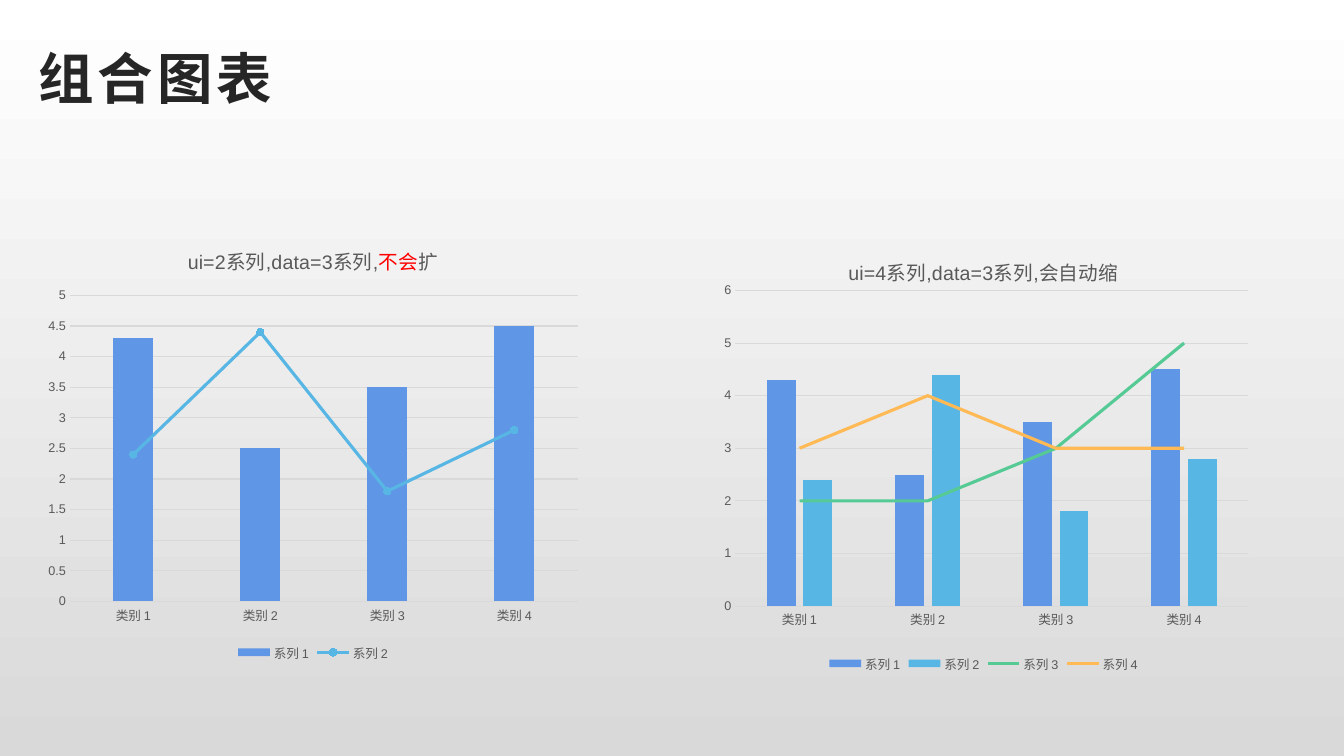
from dataclasses import dataclass
from typing import Optional

from lxml.etree import SubElement
from pptx import Presentation
from pptx.chart.chart import Chart
from pptx.chart.data import CategoryChartData
from pptx.dml.color import RGBColor
from pptx.enum.chart import XL_CHART_TYPE, XL_LEGEND_POSITION, XL_MARKER_STYLE, XL_TICK_MARK
from pptx.enum.text import MSO_ANCHOR
from pptx.oxml import parse_xml
from pptx.oxml.ns import nsdecls, qn
from pptx.slide import Slide
from pptx.text.text import Font
from pptx.util import Inches, Pt

FONT = "Arial"
GREY = "595959"
RULE = "D9D9D9"
CATEGORIES = ["类别 1", "类别 2", "类别 3", "类别 4"]
COLORS = ["6096E6", "58B6E5", "56CA95", "FFBA55"]


@dataclass
class Run:
    text: str
    color: str = GREY


@dataclass
class Combo:
    left: float
    top: float
    title: list[Run]
    values: list[list[float]]
    columns: int
    grouping: str
    marker: XL_MARKER_STYLE
    maximum: float
    unit: float
    plot: Optional[tuple[float, float, float, float]] = None


COMBOS = [
    Combo(0.37, 2.25, [Run("ui=2系列,data=3系列,"), Run("不会", "FF0000"), Run("扩")],
          [[4.3, 2.5, 3.5, 4.5], [2.4, 4.4, 1.8, 2.8]],
          1, "stacked", XL_MARKER_STYLE.CIRCLE, 5, 0.5),
    Combo(7.02, 2.36, [Run("ui=4系列,data=3系列,会自动缩")],
          [[4.3, 2.5, 3.5, 4.5], [2.4, 4.4, 1.8, 2.8], [2, 2, 3, 5], [3, 4, 3, 3]],
          2, "standard", XL_MARKER_STYLE.NONE, 6, 1, (0.05, 0.12, 0.93, 0.72)),
]


def rgb(color: str) -> RGBColor:
    return RGBColor.from_string(color)


def style_font(font: Font, size: float, color: str, bold: bool = False) -> None:
    font.name = FONT
    font.size = Pt(size)
    font.bold = bold
    font.color.rgb = rgb(color)


def add_heading(s: Slide, text: str) -> None:
    sp = s.shapes.add_textbox(Inches(0.28), Inches(0.31), Inches(8.5), Inches(0.84))
    tf = sp.text_frame
    tf.word_wrap = True
    tf.vertical_anchor = MSO_ANCHOR.BOTTOM
    r = tf.paragraphs[0].add_run()
    r.text = text
    style_font(r.font, 39.6, "262626", True)
    r.font._element.set("spc", "300")


def move_to_lines(chart: Chart, combo: Combo) -> None:
    bars = chart.plots[0]._element
    lines = parse_xml(
        f'<c:lineChart {nsdecls("c")}><c:grouping val="{combo.grouping}"/>'
        '<c:varyColors val="0"/></c:lineChart>')
    for ser in bars.findall(qn("c:ser"))[combo.columns:]:
        for flag in ser.findall(qn("c:invertIfNegative")):
            ser.remove(flag)
        lines.append(ser)
    SubElement(lines, qn("c:marker")).set("val", "1")
    for axis in bars.findall(qn("c:axId")):
        SubElement(lines, qn("c:axId")).set("val", axis.get("val"))
    bars.addnext(lines)


def place_plot(chart: Chart, box: tuple[float, float, float, float]) -> None:
    area = chart.plots[0]._element.getparent()
    for old in area.findall(qn("c:layout")):
        area.remove(old)
    layout = parse_xml(f'<c:layout {nsdecls("c")}><c:manualLayout/></c:layout>')
    settings = [("layoutTarget", "inner"), ("xMode", "edge"), ("yMode", "edge"),
                *zip("xywh", box)]
    for tag, value in settings:
        SubElement(layout[0], qn(f"c:{tag}")).set("val", str(value))
    area.insert(0, layout)


def style_series(chart: Chart, combo: Combo) -> None:
    columns, lines = chart.plots
    columns.gap_width = 219
    columns.overlap = -27
    columns.vary_by_categories = False
    for series, color in zip(columns.series, COLORS):
        series.format.fill.solid()
        series.format.fill.fore_color.rgb = rgb(color)
    for series, color in zip(lines.series, COLORS[combo.columns:]):
        series.smooth = False
        series.format.line.width = Pt(2.25)
        series.format.line.color.rgb = rgb(color)
        marker = series.marker
        marker.style = combo.marker
        if combo.marker != XL_MARKER_STYLE.NONE:
            marker.size = 5
            marker.format.fill.solid()
            marker.format.fill.fore_color.rgb = rgb(color)
            marker.format.line.color.rgb = rgb(color)


def style_axes(chart: Chart, combo: Combo) -> None:
    cat, val = chart.category_axis, chart.value_axis
    for axis in (cat, val):
        axis.major_tick_mark = XL_TICK_MARK.NONE
        axis.minor_tick_mark = XL_TICK_MARK.NONE
        style_font(axis.tick_labels.font, 9, GREY)
    val.minimum_scale = 0
    val.maximum_scale = combo.maximum
    val.major_unit = combo.unit
    val.has_major_gridlines = True
    val.format.line.fill.background()
    for line in (cat.format.line, val.major_gridlines.format.line):
        line.width = Pt(0.75)
        line.color.rgb = rgb(RULE)


def add_combo(s: Slide, combo: Combo) -> None:
    data = CategoryChartData()
    data.categories = CATEGORIES
    for i, values in enumerate(combo.values, 1):
        data.add_series(f"系列 {i}", values)
    chart = s.shapes.add_chart(
        XL_CHART_TYPE.COLUMN_CLUSTERED, Inches(combo.left), Inches(combo.top),
        Inches(5.47), Inches(4.35), data).chart
    style_font(chart.font, 10, "000000")
    chart.has_title = True
    p = chart.chart_title.text_frame.paragraphs[0]
    for run in combo.title:
        r = p.add_run()
        r.text = run.text
        style_font(r.font, 14, run.color)
    chart.has_legend = True
    chart.legend.position = XL_LEGEND_POSITION.BOTTOM
    chart.legend.include_in_layout = False
    style_font(chart.legend.font, 9, GREY)
    move_to_lines(chart, combo)
    style_series(chart, combo)
    style_axes(chart, combo)
    if combo.plot:
        place_plot(chart, combo.plot)


def main() -> None:
    prs = Presentation()
    prs.slide_width = Inches(13.33)
    prs.slide_height = Inches(7.5)
    s = prs.slides.add_slide(prs.slide_layouts[6])
    fill = s.background.fill
    fill.gradient()
    fill.gradient_angle = 270
    for stop, color in zip(fill.gradient_stops, ["FFFFFF", RULE]):
        stop.color.rgb = rgb(color)
    add_heading(s, "组合图表")
    for combo in COMBOS:
        add_combo(s, combo)
    prs.save("out.pptx")


if __name__ == "__main__":
    main()
